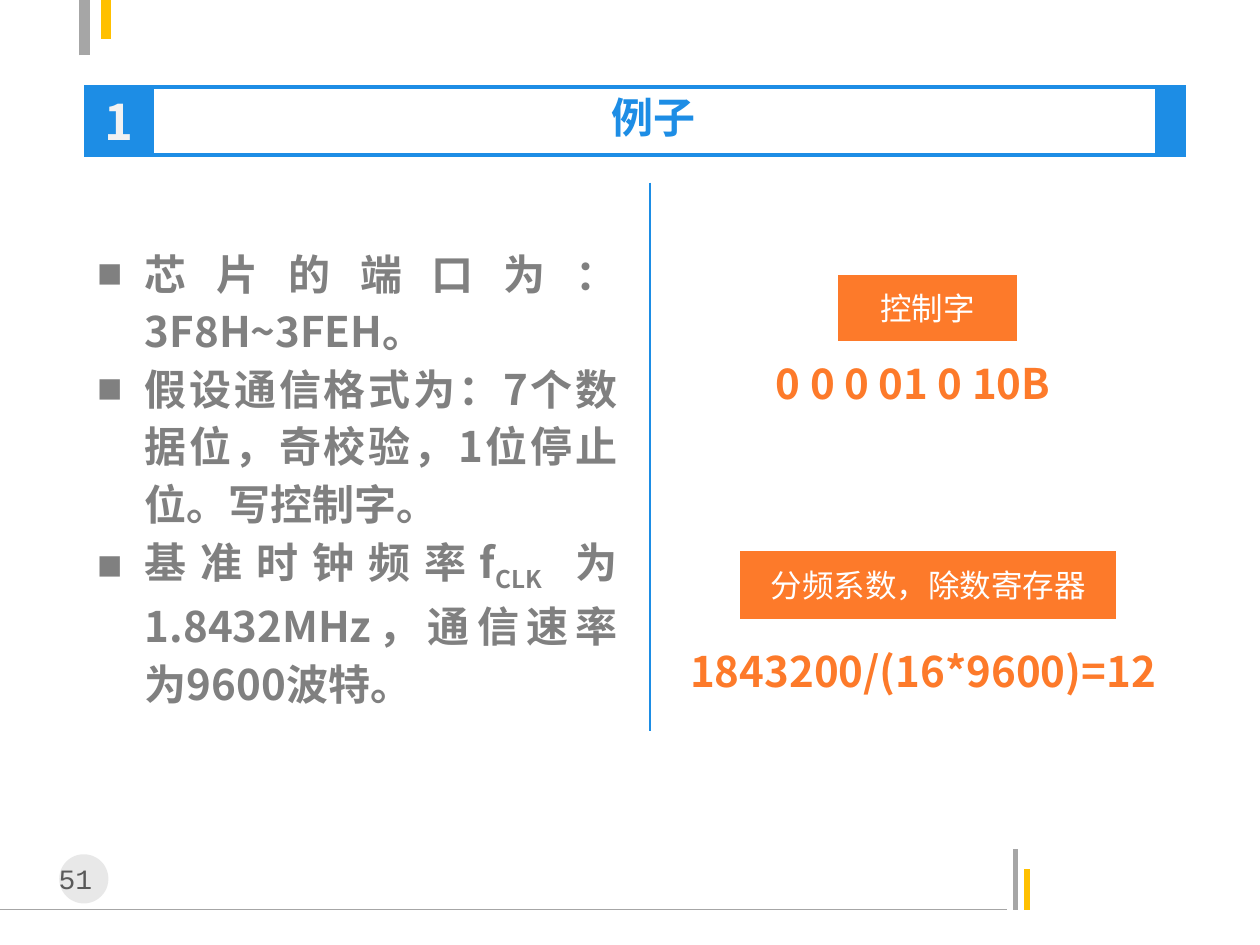
from lxml import etree
from pptx import Presentation
from pptx.dml.color import RGBColor
from pptx.enum import shapes as sh, text as tx
from pptx.oxml import ns
from pptx.util import Inches, Pt

FONT = "Noto Sans CJK SC"
HUES = {"blue": "1D8DE5", "orange": "FD7A2A", "grey": "A6A6A6", "gold": "FFC000",
        "disc": "BFBFBF", "body": "808080", "page": "595959",
        "pale": "F2F2F2", "white": "FFFFFF"}
RGB = {name: RGBColor.from_string(hue) for name, hue in HUES.items()}
FORM = sh.MSO_SHAPE
MID, TOP = tx.MSO_ANCHOR.MIDDLE, tx.MSO_ANCHOR.TOP
MIDDLE = tx.PP_ALIGN.CENTER
GROW = tx.MSO_AUTO_SIZE.SHAPE_TO_FIT_TEXT

deck = Presentation()
deck.slide_width, deck.slide_height = Inches(10), Inches(7.5)
slide = deck.slides.add_slide(deck.slide_layouts[1])
items = slide.shapes


def style(frame, size, hue, bold=True, align=None, anchor=TOP, face=FONT):
    """Format every run of a text frame, East Asian font included."""
    frame.word_wrap = True
    frame.vertical_anchor = anchor
    for para in frame.paragraphs:
        para.alignment = align
        for run in para.runs:
            font = run.font
            font.name, font.size, font.bold = face, Pt(size), bold
            font.color.rgb = RGB[hue]
            etree.SubElement(run._r.get_or_add_rPr(), ns.qn("a:ea"), typeface=face)


def block(form, box, fill, edge=False):
    """Add a filled preset shape, outlined in its own colour if asked."""
    shape = items.add_shape(form, *map(Inches, box))
    shape.shadow.inherit = False
    shape.fill.solid()
    shape.fill.fore_color.rgb = RGB[fill]
    if edge:
        shape.line.color.rgb = RGB[fill]
        shape.line.width = Pt(0.75)
    else:
        shape.line.fill.background()
    return shape


# Corner marks, footer rule, title frame and column divider
for x1, y1, x2, y2, hue, width in [
    (0, 7.22, 7.99, 7.22, "grey", 0.75),
    (8.06, 7.22, 8.06, 6.74, "grey", 3),
    (8.15, 7.22, 8.15, 6.9, "gold", 3),
    (0.67, 0.44, 0.67, 0, "grey", 6),
    (0.84, 0, 0.84, 0.31, "gold", 6),
    (0.67, 0.69, 9.41, 0.69, "blue", 2.25),
    (0.67, 1.23, 9.41, 1.23, "blue", 2.25),
    (5.16, 1.45, 5.16, 5.8, "blue", 1),
]:
    line = items.add_connector(sh.MSO_CONNECTOR.STRAIGHT, *map(Inches, (x1, y1, x2, y2)))
    line.line.color.rgb = RGB[hue]
    line.line.width = Pt(width)
    etree.SubElement(line._element.spPr, ns.qn("a:effectLst"))

# Page number
disc = block(FORM.OVAL, (0.47, 6.78, 0.39, 0.39), "disc")
tint = disc._element.spPr.find(".//" + ns.qn("a:srgbClr"))
etree.SubElement(tint, ns.qn("a:alpha"), val="35000")
page = items.add_textbox(*map(Inches, (0.31, 6.79, 0.71, 0.37))).text_frame
page.text = "51 "
style(page, 16, "page", False, MIDDLE, face="Courier New")

# Title bar
badge = block(FORM.RECTANGLE, (0.67, 0.69, 0.55, 0.54), "blue", True)
badge.text_frame.text = "1"
style(badge.text_frame, 28, "pale", align=MIDDLE, anchor=MID)
block(FORM.RECTANGLE, (9.17, 0.68, 0.24, 0.54), "blue", True)
title = items.title
title.left, title.top, title.width, title.height = map(Inches, (1.22, 0.68, 7.94, 0.5))
title.text_frame.text = "例子"
title.text_frame.auto_size = GROW
style(title.text_frame, 24, "blue", align=MIDDLE)

# Bulleted list
body = slide.placeholders[1]
body.left, body.top, body.width, body.height = map(Inches, (0.67, 1.88, 4.33, 3.78))
frame = body.text_frame
frame.auto_size = GROW
points = [
    ["芯片的端口为：3F8H~3FEH。"],
    ["假设通信格式为：7个数据位，奇校验，1位停止位。写控制字。"],
    ["基准时钟频率f", "CLK ", "为1.8432MHz，通信速率为9600波特。"],
]
for i, parts in enumerate(points):
    para = frame.add_paragraph() if i else frame.paragraphs[0]
    para.line_spacing = 1.14
    para.space_before = Pt(0)
    props = para._p.get_or_add_pPr()
    props.set("marL", str(Inches(0.38)))
    props.set("indent", str(-Inches(0.38)))
    etree.SubElement(props, ns.qn("a:buChar"), char="■")
    for part in parts:
        para.add_run().text = part
style(frame, 24, "body", align=tx.PP_ALIGN.JUSTIFY, anchor=MID)
frame.paragraphs[2].runs[1]._r.get_or_add_rPr().set("baseline", "-25000")

# Results with their labels
for label, tag, answer, spot in [
    ("控制字", (6.65, 2.18, 1.42, 0.53), "0 0 0 01 0 10B", (6.06, 2.67, 2.57, 0.57)),
    ("分频系数，除数寄存器", (5.87, 4.37, 2.99, 0.54),
     "1843200/(16*9600)=12", (5.38, 4.96, 4.24, 0.57)),
]:
    frame = items.add_textbox(*map(Inches, spot)).text_frame
    frame.text = answer
    frame.auto_size = GROW
    frame.paragraphs[0].line_spacing = 1.29
    style(frame, 24, "orange")
    frame = block(FORM.FLOWCHART_PROCESS, tag, "orange").text_frame
    frame.text = label
    style(frame, 18, "white", False, MIDDLE, MID)

deck.save("out.pptx")
